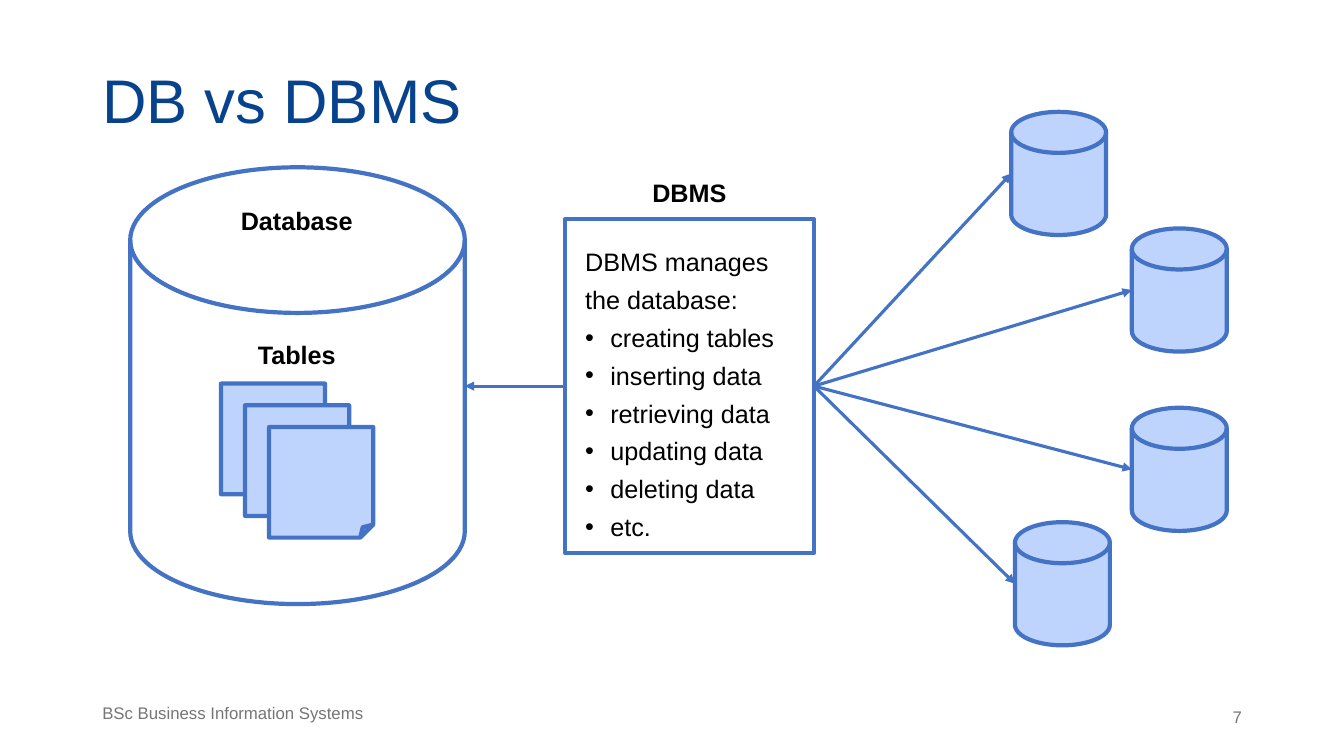
from lxml.etree import SubElement
from pptx import Presentation
from pptx.dml.color import RGBColor
from pptx.enum.shapes import MSO_CONNECTOR, MSO_SHAPE
from pptx.enum.text import MSO_ANCHOR, PP_ALIGN
from pptx.oxml.ns import qn
from pptx.util import Pt

COLORS = {
    "title": "07428C",
    "footer": "767676",
    "line": "4472C4",
    "pale": "BFD4FC",
    "white": "FFFFFF",
    "text": "000000",
}


def add_outlined(shapes, kind, left, top, width, height, fill):
    shape = shapes.add_shape(kind, Pt(left), Pt(top), Pt(width), Pt(height))
    shape.shadow.inherit = False
    shape.fill.solid()
    shape.fill.fore_color.rgb = RGBColor.from_string(COLORS[fill])
    shape.line.color.rgb = RGBColor.from_string(COLORS["line"])
    shape.line.width = Pt(3)
    return shape


def style_para(para, text, size, color, bold=False):
    para.text = text
    font_format = {"name": "Arial", "size": Pt(size), "bold": bold}
    for name, value in font_format.items():
        setattr(para.font, name, value)
    para.font.color.rgb = RGBColor.from_string(COLORS[color])


deck = Presentation()
deck.slide_width, deck.slide_height = Pt(960), Pt(540)
page = deck.slides.add_slide(deck.slide_layouts[6])

# Databases: the large one, then the four managed by the DBMS
disk = MSO_SHAPE.FLOWCHART_MAGNETIC_DISK
add_outlined(page.shapes, disk, 93, 119.5, 239, 312, "white")
small_disks = [(722.3, 79.9), (808.5, 163.2), (808.5, 291.3), (725, 373)]
for left, top in small_disks:
    add_outlined(page.shapes, disk, left, top, 67.8, 88, "pale")

# Stack of tables with a small folded corner
tables = page.shapes.add_group_shape()
for step in range(3):
    table = add_outlined(tables.shapes, MSO_SHAPE.FOLDED_CORNER,
                         157.8 + 17.2 * step, 274 + 15.5 * step, 74.4, 79, "pale")
    fold = SubElement(table._element.spPr.find(".//" + qn("a:avLst")), qn("a:gd"))
    fold.set("name", "adj")
    fold.set("fmla", "val 12500")

# DBMS box with its tasks
box = add_outlined(page.shapes, MSO_SHAPE.RECTANGLE, 403.6, 156.5, 177.8, 238.5, "white")
frame_format = {
    "word_wrap": True,
    "vertical_anchor": MSO_ANCHOR.TOP,
    "margin_left": Pt(14.4),
    "margin_right": Pt(14.4),
    "margin_top": Pt(14.4),
    "margin_bottom": Pt(14.4),
}
for name, value in frame_format.items():
    setattr(box.text_frame, name, value)
tasks = ["creating tables", "inserting data", "retrieving data",
         "updating data", "deleting data", "etc."]
for index, text in enumerate(["DBMS manages the database:"] + tasks):
    para = box.text_frame.add_paragraph() if index else box.text_frame.paragraphs[0]
    para.alignment = PP_ALIGN.LEFT
    para.line_spacing = 1.25
    if index:
        properties = para._p.get_or_add_pPr()
        properties.set("marL", str(Pt(18)))
        properties.set("indent", str(-Pt(18)))
        SubElement(properties, qn("a:buFont")).set("typeface", "Arial")
        SubElement(properties, qn("a:buChar")).set("char", "•")
    style_para(para, text, 18, "text")

# Arrows from the DBMS to the databases
middle = 275.8
arrows = [(403.6, 332, middle)]
arrows += [(581.4, left, top + 44) for left, top in small_disks]
for start, end, end_height in arrows:
    arrow = page.shapes.add_connector(
        MSO_CONNECTOR.STRAIGHT, Pt(start), Pt(middle), Pt(end), Pt(end_height))
    arrow.line.color.rgb = RGBColor.from_string(COLORS["line"])
    arrow.line.width = Pt(2.25)
    outline = arrow._element.spPr.find(qn("a:ln"))
    SubElement(outline, qn("a:tailEnd")).set("type", "triangle")
    SubElement(arrow._element.spPr, qn("a:effectLst"))

# Title, labels, footer and page number
left, center, right = PP_ALIGN.LEFT, PP_ALIGN.CENTER, PP_ALIGN.RIGHT
labels = [
    ("DB vs DBMS", 66, 37.5, 675.5, 67.5, 44, "title", False, left, 0.9),
    ("Database", 164.5, 142.8, 95, 29, 18, "text", True, center, 1),
    ("Tables", 164.5, 238.5, 95, 29, 18, "text", True, center, 1),
    ("DBMS", 452.9, 123.4, 79, 29, 18, "text", True, center, 1),
    ("BSc Business Information Systems", 66, 500, 244, 29.5, 12, "footer", False, left, 0.9),
    ("7", 733.7, 501, 160.5, 29, 12, "footer", False, right, 1),
]
for text, x, y, width, height, size, color, bold, alignment, spacing in labels:
    label = page.shapes.add_textbox(Pt(x), Pt(y), Pt(width), Pt(height))
    frame = label.text_frame
    frame.word_wrap = True
    if color == "title":
        frame.vertical_anchor = MSO_ANCHOR.BOTTOM
        frame.margin_top = frame.margin_bottom = Pt(7.2)
    para = frame.paragraphs[0]
    para.alignment = alignment
    para.line_spacing = spacing
    style_para(para, text, size, color, bold)

deck.save("out.pptx")
